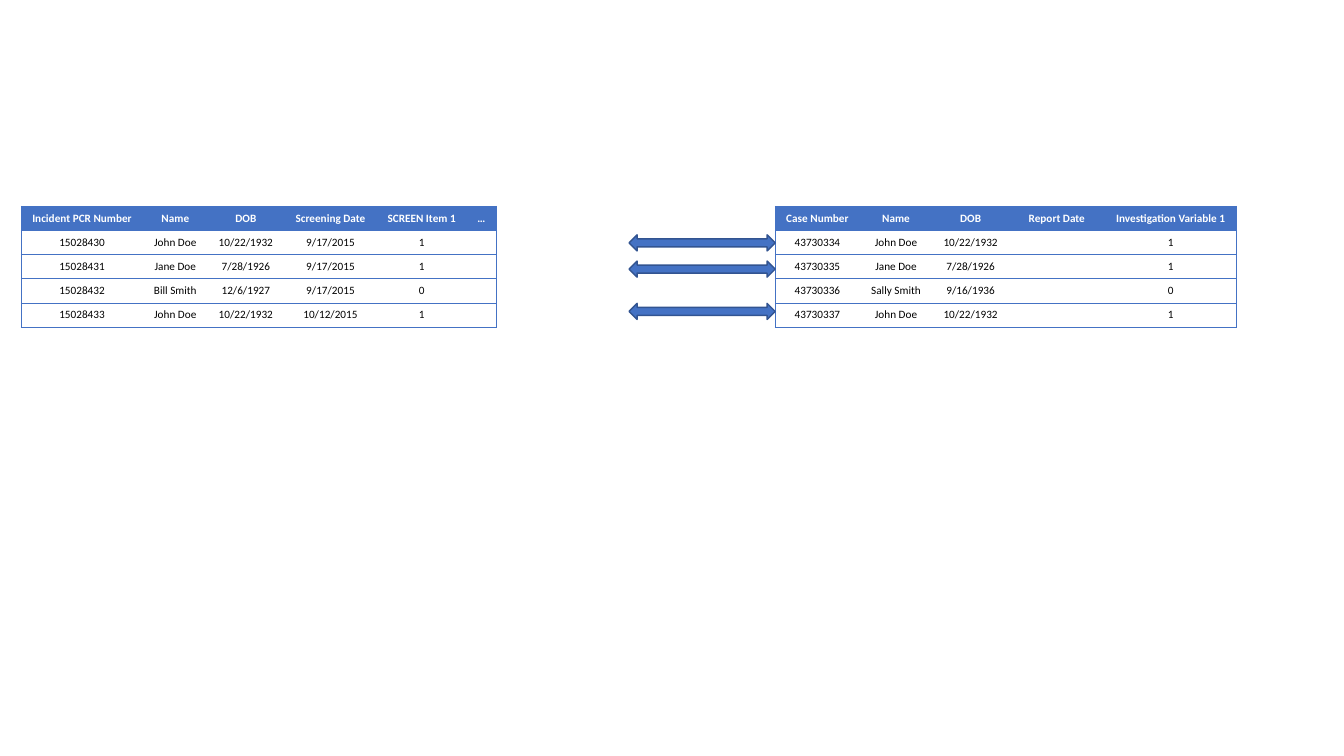
import dataclasses
import typing

import pptx
import pptx.dml.color
import pptx.enum.shapes
import pptx.enum.text
import pptx.oxml
import pptx.oxml.ns
import pptx.util

Pt = pptx.util.Pt
COLORS = {"blue": "4472C4", "edge": "325491", "white": "FFFFFF", "black": "000000"}
TOP = 147.3
ROW = 17.28
SIZE = 8
FLAGS = {"first_row": False, "horz_banding": False}
CELL = {
    "margin_left": Pt(3), "margin_right": Pt(3),
    "margin_top": 0, "margin_bottom": 0,
    "vertical_anchor": pptx.enum.text.MSO_ANCHOR.MIDDLE,
}


@dataclasses.dataclass
class Grid:
    left: float
    widths: list[float]
    rows: list[list[str]]


@dataclasses.dataclass
class Arrow:
    top: float
    left: float = 449.28
    width: float = 104.4
    height: float = 11.52


GRIDS = [
    Grid(15.12, [87.12, 46.08, 54.72, 66.24, 64.08, 21.24], [
        ["Incident PCR Number", "Name", "DOB", "Screening Date", "SCREEN Item 1", "…"],
        ["15028430", "John Doe", "10/22/1932", "9/17/2015", "1", ""],
        ["15028431", "Jane Doe", "7/28/1926", "9/17/2015", "1", ""],
        ["15028432", "Bill Smith", "12/6/1927", "9/17/2015", "0", ""],
        ["15028433", "John Doe", "10/22/1932", "10/12/2015", "1", ""],
    ]),
    Grid(553.68, [60.48, 51.84, 54.72, 68.4, 94.32], [
        ["Case Number", "Name", "DOB", "Report Date", "Investigation Variable 1"],
        ["43730334", "John Doe", "10/22/1932", "", "1"],
        ["43730335", "Jane Doe", "7/28/1926", "", "1"],
        ["43730336", "Sally Smith", "9/16/1936", "", "0"],
        ["43730337", "John Doe", "10/22/1932", "", "1"],
    ]),
]
ARROWS = [Arrow(167.76), Arrow(186.48), Arrow(216.72)]


def tint(name: str) -> pptx.dml.color.RGBColor:
    return pptx.dml.color.RGBColor.from_string(COLORS[name])


def put(target: typing.Any, values: dict[str, typing.Any]) -> None:
    """Set each named attribute on the target."""
    for name, value in values.items():
        setattr(target, name, value)


def edge(cell: typing.Any, first: bool, last: bool) -> None:
    """Rule a cell above and below, and at the outer sides of its table."""
    sides = {"lnL": first, "lnR": last, "lnT": True, "lnB": True}
    for side, shown in sides.items():
        fill = (f'<a:solidFill><a:srgbClr val="{COLORS["blue"]}"/></a:solidFill>'
                if shown else "<a:noFill/>")
        line = f'<a:{side} {pptx.oxml.ns.nsdecls("a")} w="{Pt(0.5)}">{fill}</a:{side}>'
        cell._tc.get_or_add_tcPr().append(pptx.oxml.parse_xml(line))


def write(cell: typing.Any, text: str, head: bool) -> None:
    para = cell.text_frame.paragraphs[0]
    para.alignment = pptx.enum.text.PP_ALIGN.CENTER
    if not text:
        # An empty cell needs its own text size, or the row grows.
        para._p.append(pptx.oxml.parse_xml(
            f'<a:endParaRPr {pptx.oxml.ns.nsdecls("a")} sz="{SIZE * 100}"/>'))
        return
    run = para.add_run()
    run.text = text
    put(run.font, {"name": "Calibri", "size": Pt(SIZE), "bold": head})
    run.font.color.rgb = tint("white" if head else "black")


def draw_grid(slide: typing.Any, grid: Grid) -> None:
    count, last = len(grid.rows), len(grid.widths) - 1
    table = slide.shapes.add_table(
        count, last + 1, Pt(grid.left), Pt(TOP),
        Pt(sum(grid.widths)), Pt(ROW * count)).table
    put(table, FLAGS)
    for col, width in zip(table.columns, grid.widths):
        col.width = Pt(width)
    for r, texts in enumerate(grid.rows):
        table.rows[r].height = Pt(ROW)
        for c, text in enumerate(texts):
            cell = table.cell(r, c)
            put(cell, CELL)
            edge(cell, c == 0, c == last)
            if r == 0:
                cell.fill.solid()
                cell.fill.fore_color.rgb = tint("blue")
            else:
                cell.fill.background()
            write(cell, text, r == 0)


def draw_arrow(slide: typing.Any, arrow: Arrow) -> None:
    shape = slide.shapes.add_shape(
        pptx.enum.shapes.MSO_SHAPE.LEFT_RIGHT_ARROW,
        Pt(arrow.left), Pt(arrow.top), Pt(arrow.width), Pt(arrow.height))
    shape.shadow.inherit = False
    shape.fill.solid()
    shape.fill.fore_color.rgb = tint("blue")
    shape.line.width = Pt(1)
    shape.line.color.rgb = tint("edge")


def main() -> None:
    deck = pptx.Presentation()
    put(deck, {"slide_width": Pt(960), "slide_height": Pt(540)})
    slide = deck.slides.add_slide(deck.slide_layouts[6])
    for grid in GRIDS:
        draw_grid(slide, grid)
    for arrow in ARROWS:
        draw_arrow(slide, arrow)
    deck.save("out.pptx")


if __name__ == "__main__":
    main()
